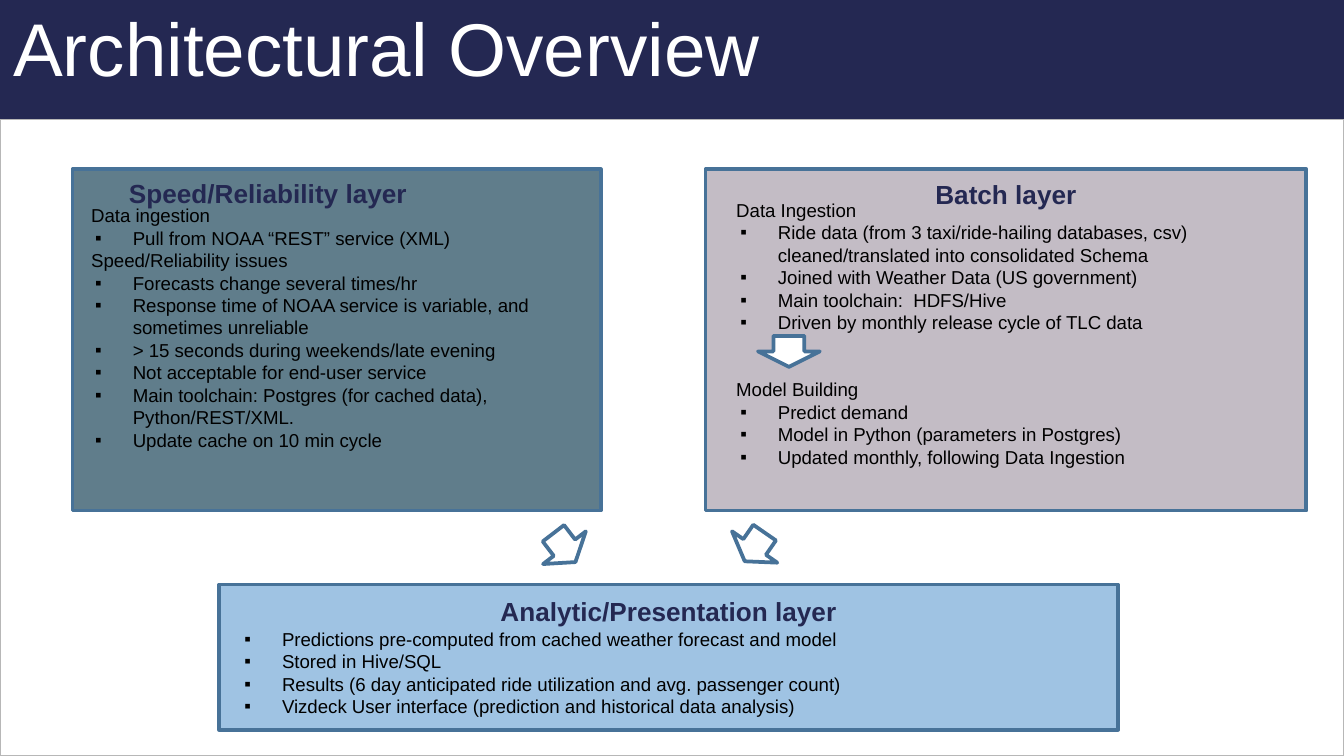
import pptx
import pptx.dml.color
import pptx.enum.shapes
import pptx.enum.text
import pptx.oxml
import pptx.oxml.ns
import pptx.util

Inches = pptx.util.Inches
Shape = pptx.enum.shapes.MSO_SHAPE
Align = pptx.enum.text.PP_ALIGN
Anchor = pptx.enum.text.MSO_ANCHOR

THEME = {
    "font": "Arial",
    "navy": "242852", "white": "FFFFFF", "black": "000000", "grey": "B7B7B7",
    "pale": "E1EBF9", "outline": "477298",
    "slate": "607D8B", "mauve": "C3BCC5", "sky": "9FC3E3",
    "title_size": 40, "heading_size": 14, "body_size": 10,
    "thin": 0.75, "thick": 2,
}

TITLE = "Architectural Overview"

# Each section is (heading, space before in points, bullets).
LAYERS = [
    {
        "name": "Analytic/Presentation layer", "fill": "sky",
        "panel": (1.63, 4.35, 6.69, 1.08),
        "label": (1.63, 4.38, 6.69, 0.25),
        "body": (1.69, 4.62, 6.55, 0.78),
        "sections": [(None, 0, [
            "Predictions pre-computed from cached weather forecast and model",
            "Stored in Hive/SQL",
            "Results (6 day anticipated ride utilization and avg. passenger count)",
            "Vizdeck User interface (prediction and historical data analysis)",
        ])],
    },
    {
        "name": "Speed/Reliability layer", "fill": "slate",
        "panel": (0.54, 1.26, 3.93, 2.54),
        "label": (0.58, 1.27, 2.83, 0.25),
        "body": (0.58, 1.47, 3.89, 2.2),
        "sections": [
            ("Data ingestion", 0, ["Pull from NOAA “REST” service (XML)"]),
            ("Speed/Reliability issues", 0, [
                "Forecasts change several times/hr",
                "Response time of NOAA service is variable, and sometimes unreliable",
                "> 15 seconds during weekends/late evening",
                "Not acceptable for end-user service",
                "Main toolchain: Postgres (for cached data), Python/REST/XML.",
                "Update cache on 10 min cycle",
            ]),
        ],
    },
    {
        "name": "Batch layer", "fill": "mauve",
        "panel": (5.25, 1.26, 4.47, 2.54),
        "label": (5.25, 1.28, 4.47, 0.25),
        "body": (5.38, 1.43, 4.34, 2.37),
        "sections": [
            ("Data Ingestion", 0, [
                "Ride data (from 3 taxi/ride-hailing databases, csv) "
                "cleaned/translated into consolidated Schema",
                "Joined with Weather Data (US government)",
                "Main toolchain:  HDFS/Hive",
                "Driven by monthly release cycle of TLC data",
            ]),
            ("Model Building", 24, [
                "Predict demand",
                "Model in Python (parameters in Postgres)",
                "Updated monthly, following Data Ingestion",
            ]),
        ],
    },
]

# Position and clockwise rotation of each arrow.
ARROWS = [
    ((5.64, 2.5, 0.46, 0.23), 0),
    ((4, 3.94, 0.4, 0.27), 322.6),
    ((5.41, 3.94, 0.41, 0.26), 34.7),
]


def color(name):
    return pptx.dml.color.RGBColor.from_string(THEME[name])


def add_block(slide, kind, place, fill, line=None, weight="thick", rotation=0):
    block = slide.shapes.add_shape(kind, *map(Inches, place))
    block.shadow.inherit = False
    block.rotation = rotation
    block.fill.solid()
    block.fill.fore_color.rgb = color(fill)
    if line:
        block.line.color.rgb = color(line)
        block.line.width = pptx.util.Pt(THEME[weight])
    else:
        block.line.fill.background()
    return block


def add_text_frame(slide, place, inset_y=0.05, anchor=Anchor.TOP):
    frame = slide.shapes.add_textbox(*map(Inches, place)).text_frame
    settings = {
        "word_wrap": True, "vertical_anchor": anchor,
        "margin_left": Inches(0.1), "margin_right": Inches(0.1),
        "margin_top": Inches(inset_y), "margin_bottom": Inches(inset_y),
    }
    for name, value in settings.items():
        setattr(frame, name, value)
    return frame


def write(para, text, size, ink, bold=False):
    span = para.add_run()
    span.text = text
    settings = {"name": THEME["font"], "size": pptx.util.Pt(THEME[size]), "bold": bold}
    for name, value in settings.items():
        setattr(span.font, name, value)
    span.font.color.rgb = color(ink)


def add_bullet(para):
    """Give the paragraph a square marker with a hanging indent."""
    props = para._p.get_or_add_pPr()
    props.set("marL", str(Inches(0.31)))
    props.set("indent", str(Inches(-0.28)))
    space = pptx.oxml.ns.nsdecls("a")
    for xml in (
        f'<a:buClr {space}><a:srgbClr val="{THEME["black"]}"/></a:buClr>',
        f'<a:buFont {space} typeface="{THEME["font"]}"/>',
        f'<a:buChar {space} char="▪"/>',
    ):
        props.append(pptx.oxml.parse_xml(xml))


def add_label(slide, layer):
    para = add_text_frame(slide, layer["label"]).paragraphs[0]
    para.alignment = Align.CENTER
    write(para, layer["name"], "heading_size", "navy", bold=True)


def add_body(slide, layer):
    frame = add_text_frame(slide, layer["body"])
    lines = []
    for heading, gap, bullets in layer["sections"]:
        if heading:
            lines.append((heading, gap, False))
        lines += [(bullet, 0, True) for bullet in bullets]
    for index, (text, gap, bulleted) in enumerate(lines):
        para = frame.add_paragraph() if index else frame.paragraphs[0]
        para.space_before = pptx.util.Pt(gap)
        if bulleted:
            add_bullet(para)
        write(para, text, "body_size", "black")


def add_backdrop(slide):
    fill = slide.background.fill
    fill.gradient()
    fill.gradient_angle = 270
    for stop, name in zip(fill.gradient_stops, ("grey", "pale")):
        stop.color.rgb = color(name)
    header = add_block(slide, Shape.ROUND_2_SAME_RECTANGLE, (0, 0, 10, 1.06),
                       "navy", rotation=180)
    header.adjustments[0] = 0.167
    add_block(slide, Shape.RECTANGLE, (0, 0.89, 10, 4.73), "white", "grey", "thin")


def main():
    deck = pptx.Presentation()
    deck.slide_width = Inches(10)
    deck.slide_height = deck.slide_width * 9 // 16
    slide = deck.slides.add_slide(deck.slide_layouts[6])

    add_backdrop(slide)
    title = add_text_frame(slide, (0, 0.03, 8.25, 0.75), 0.1, Anchor.BOTTOM)
    write(title.paragraphs[0], TITLE, "title_size", "white")

    for layer in LAYERS:
        add_block(slide, Shape.RECTANGLE, layer["panel"], layer["fill"], "outline")
    for place, rotation in ARROWS:
        add_block(slide, Shape.DOWN_ARROW, place, "white", "outline", rotation=rotation)
    for layer in LAYERS:
        add_label(slide, layer)
        add_body(slide, layer)

    deck.save("out.pptx")


if __name__ == "__main__":
    main()
